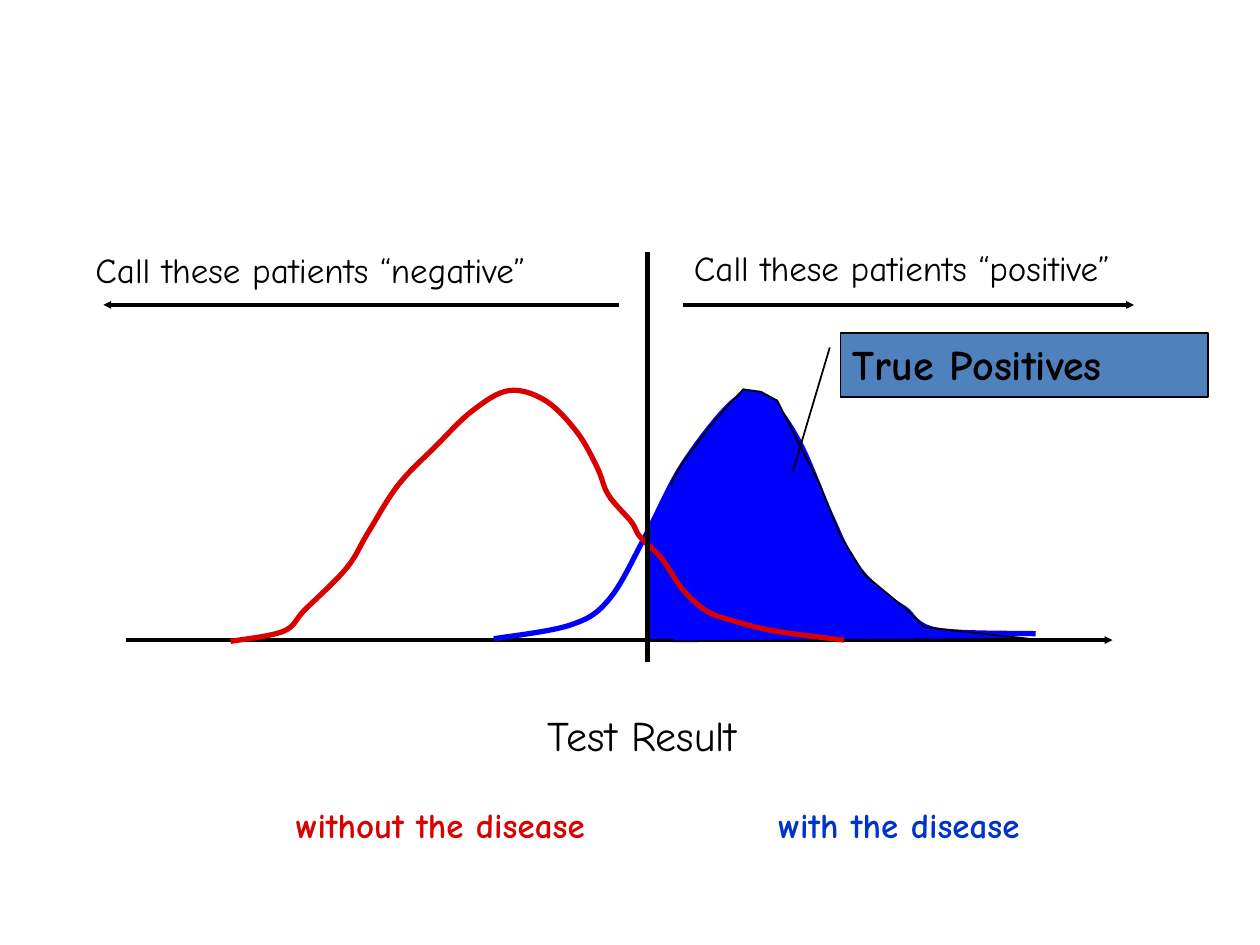
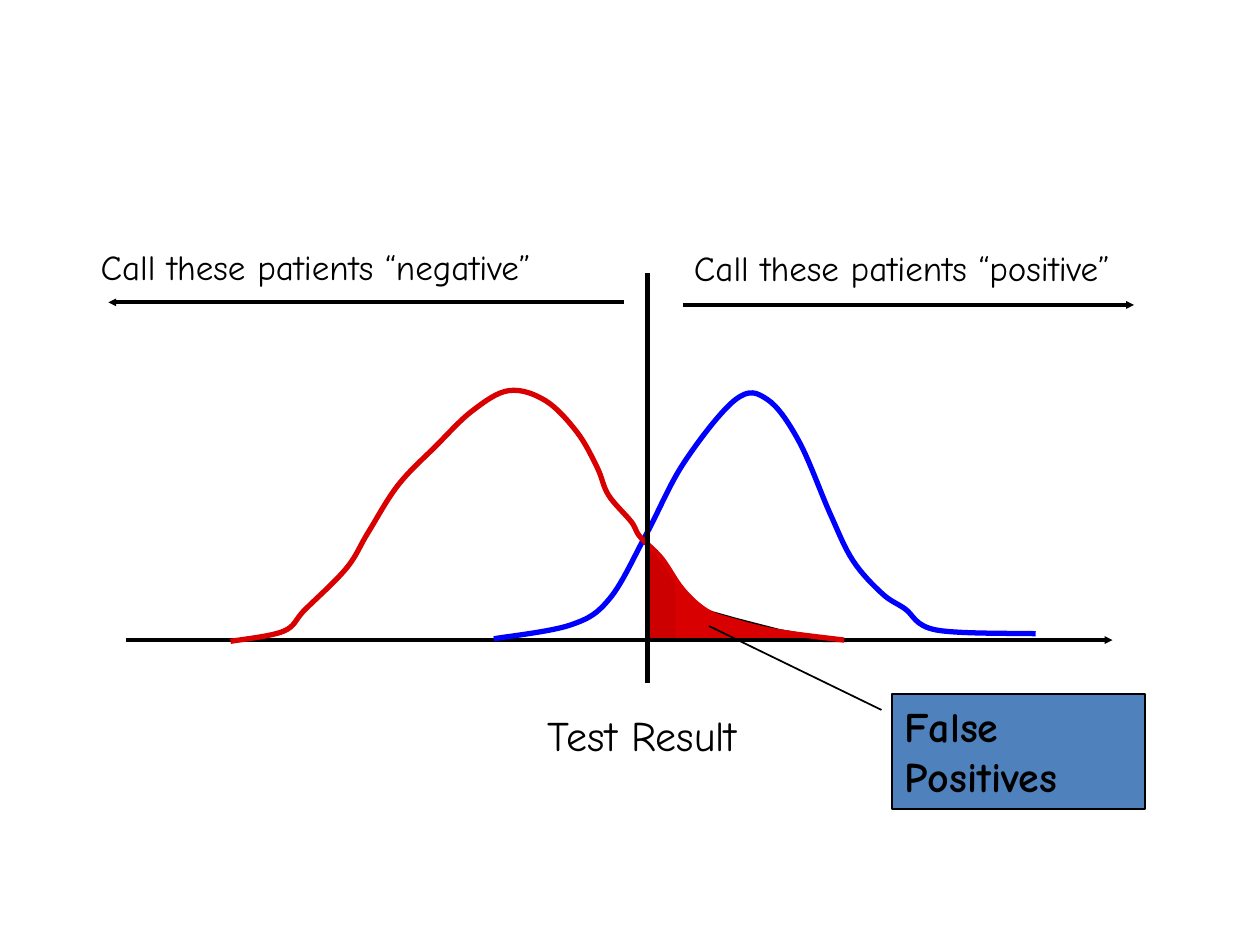
from lxml.etree import SubElement
from pptx import Presentation
from pptx.dml.color import RGBColor
from pptx.enum.shapes import MSO_CONNECTOR as Connector, MSO_SHAPE as Preset
from pptx.enum.text import MSO_ANCHOR as Anchor, MSO_AUTO_SIZE as AutoSize, PP_ALIGN as Align
from pptx.oxml.ns import qn
from pptx.util import Pt

PX = 9144
FONT = "Comic Neue"
COLORS = {
    "ink": "000000",
    "diseased": "0000FF",
    "healthy": "D80000",
    "healthy_patch": "CC0000",
    "diseased_label": "0033CC",
    "callout": "4F81BD",
}

CURVES = {
    "diseased": [
        (392, 507), (453, 496), (484, 475), (513, 424), (543, 367), (584, 317), (609, 317),
        (634, 350), (659, 408), (677, 445), (700, 471), (718, 483), (743, 500), (822, 503),
    ],
    "healthy": [
        (183, 509), (225, 501), (242, 484), (275, 451), (292, 423), (316, 385), (346, 354),
        (375, 326), (404, 310), (433, 318), (458, 343), (474, 371), (483, 393), (501, 414),
        (508, 426), (525, 443), (542, 468), (561, 485), (583, 493), (616, 501), (670, 508),
    ],
}

AXIS_LABEL = ("Test Result", (425, 558, 275, 50), 24, "ink", False)
VIEWS = [
    {
        "order": ["axis", "diseased", "arrows", "region", "callout", "healthy", "threshold"],
        "negative_offset": (0, 0),
        "threshold": (200, 525),
        "labels": [
            AXIS_LABEL,
            ("without the disease", (225, 633, 325, 43), 20, "healthy", True),
            ("with the disease", (608, 633, 333, 43), 20, "diseased_label", True),
        ],
        "region_color": "diseased",
        "region": [
            (533, 383), (542, 367), (549, 358), (563, 339), (575, 325), (590, 309), (604, 311),
            (617, 318), (633, 350), (650, 383), (667, 425), (686, 456), (721, 485), (734, 498),
            (780, 503), (817, 507), (534, 509),
        ],
        "patch_color": "diseased",
        "patches": [
            (Preset.ISOSCELES_TRIANGLE, (513, 384, 38, 40)),
            (Preset.RECTANGLE, (515, 422, 24, 85)),
        ],
        "callout": ("True Positives", (667, 264, 292, 51), (0.231, -0.029, 2.154, -0.129)),
    },
    {
        "order": ["region", "axis", "diseased", "arrows", "healthy", "callout", "threshold"],
        "negative_offset": (4, -2),
        "threshold": (217, 542),
        "labels": [AXIS_LABEL],
        "region_color": "healthy",
        "region": [
            (533, 508), (533, 455), (548, 474), (559, 484), (584, 491), (619, 500), (672, 509),
        ],
        "patch_color": "healthy_patch",
        "patches": [
            (Preset.RIGHT_TRIANGLE, (514, 432, 28, 35)),
            (Preset.RECTANGLE, (515, 465, 21, 42)),
        ],
        "callout": ("False Positives", (708, 551, 201, 91), (0.137, -0.042, -0.595, -0.723)),
    },
]


def write_text(shape, text, size=20, color="ink", bold=False):
    frame = shape.text_frame
    frame.word_wrap = True
    frame.auto_size = AutoSize.SHAPE_TO_FIT_TEXT
    frame.vertical_anchor = Anchor.TOP
    paragraph = frame.paragraphs[0]
    paragraph.alignment = Align.LEFT
    run = paragraph.add_run()
    run.text = text
    run.font.name = FONT
    run.font.size = Pt(size)
    run.font.bold = bold
    run.font.color.rgb = RGBColor.from_string(COLORS[color])


def style_shape(shape, fill=None, line=None, width=1, arrow=False):
    if line:
        shape.line.color.rgb = RGBColor.from_string(COLORS[line])
        shape.line.width = Pt(width)
    else:
        shape.line.fill.background()
    properties = shape._element.spPr
    if arrow:
        SubElement(properties.find(qn("a:ln")), qn("a:tailEnd"), type="triangle", w="sm", len="sm")
    if hasattr(shape, "begin_x"):
        SubElement(properties, qn("a:effectLst"))
        return
    shape.shadow.inherit = False
    if fill:
        shape.fill.solid()
        shape.fill.fore_color.rgb = RGBColor.from_string(COLORS[fill])
    else:
        shape.fill.background()


presentation = Presentation()
presentation.slide_width = 1000 * PX
presentation.slide_height = 750 * PX

for view in VIEWS:
    slide = presentation.slides.add_slide(presentation.slide_layouts[6])
    shapes = slide.shapes
    shift_x, shift_y = view["negative_offset"]
    top, bottom = view["threshold"]
    lines = {
        "axis": [(100, 508, 883, 508)],
        "arrows": [
            (491 + shift_x, 242 + shift_y, 82 + shift_x, 242 + shift_y),
            (542, 242, 900, 242),
        ],
        "threshold": [(514, top, 514, bottom)],
    }
    labels = view["labels"] + [
        ("Call these patients “negative”", (66 + shift_x, 192 + shift_y, 433, 43), 20, "ink", False),
        ("Call these patients “positive”", (541, 191, 433, 43), 20, "ink", False),
    ]

    for layer in view["order"]:
        for ends in lines.get(layer, []):
            connector = shapes.add_connector(Connector.STRAIGHT, *(value * PX for value in ends))
            is_threshold = layer == "threshold"
            style_shape(connector, line="ink", width=3 if is_threshold else 2.25, arrow=not is_threshold)

        if layer in CURVES:
            anchors = [(x * PX, y * PX) for x, y in CURVES[layer]]
            builder = shapes.build_freeform(*anchors[0])
            builder.add_line_segments(anchors[1:], close=False)
            curve = builder.convert_to_shape()
            style_shape(curve, line=layer, width=3)
            padded = [anchors[0], *anchors, anchors[-1]]
            segments = list(curve._element.iter(qn("a:lnTo")))
            for segment, *neighbours in zip(segments, padded, padded[1:], padded[2:], padded[3:]):
                before, start, end, after = [(x - curve.left, y - curve.top) for x, y in neighbours]
                leaving = [b + (c - a) / 6 for a, b, c in zip(before, start, end)]
                arriving = [c - (d - b) / 6 for b, c, d in zip(start, end, after)]
                bezier = segment.getparent().makeelement(qn("a:cubicBezTo"))
                for x, y in (leaving, arriving, end):
                    SubElement(bezier, qn("a:pt"), x=str(round(x)), y=str(round(y)))
                segment.getparent().replace(segment, bezier)

        if layer == "region":
            start, *rest = [(x * PX, y * PX) for x, y in view["region"]]
            builder = shapes.build_freeform(*start)
            builder.add_line_segments(rest, close=True)
            style_shape(builder.convert_to_shape(), fill=view["region_color"], line="ink")
            for preset, box in view["patches"]:
                patch = shapes.add_shape(preset, *(value * PX for value in box))
                style_shape(patch, fill=view["patch_color"])

        if layer == "callout":
            text, box, adjustments = view["callout"]
            callout = shapes.add_shape(Preset.LINE_CALLOUT_1, *(value * PX for value in box))
            for index, value in enumerate(adjustments):
                callout.adjustments[index] = value
            style_shape(callout, fill="callout", line="ink")
            write_text(callout, text, size=24, bold=True)

    for text, box, size, color, bold in labels:
        label = shapes.add_textbox(*(value * PX for value in box))
        write_text(label, text, size=size, color=color, bold=bold)

presentation.save("out.pptx")
